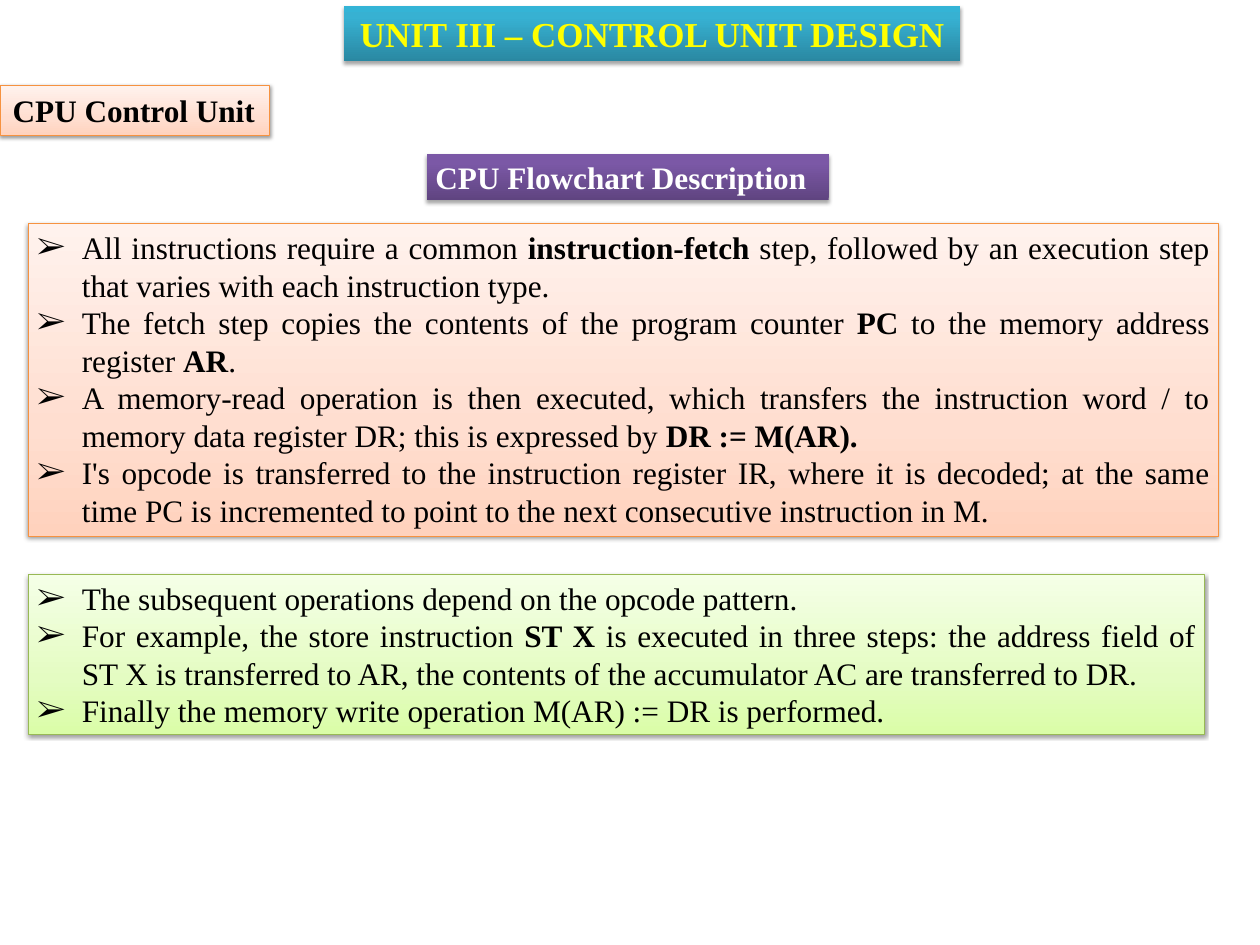
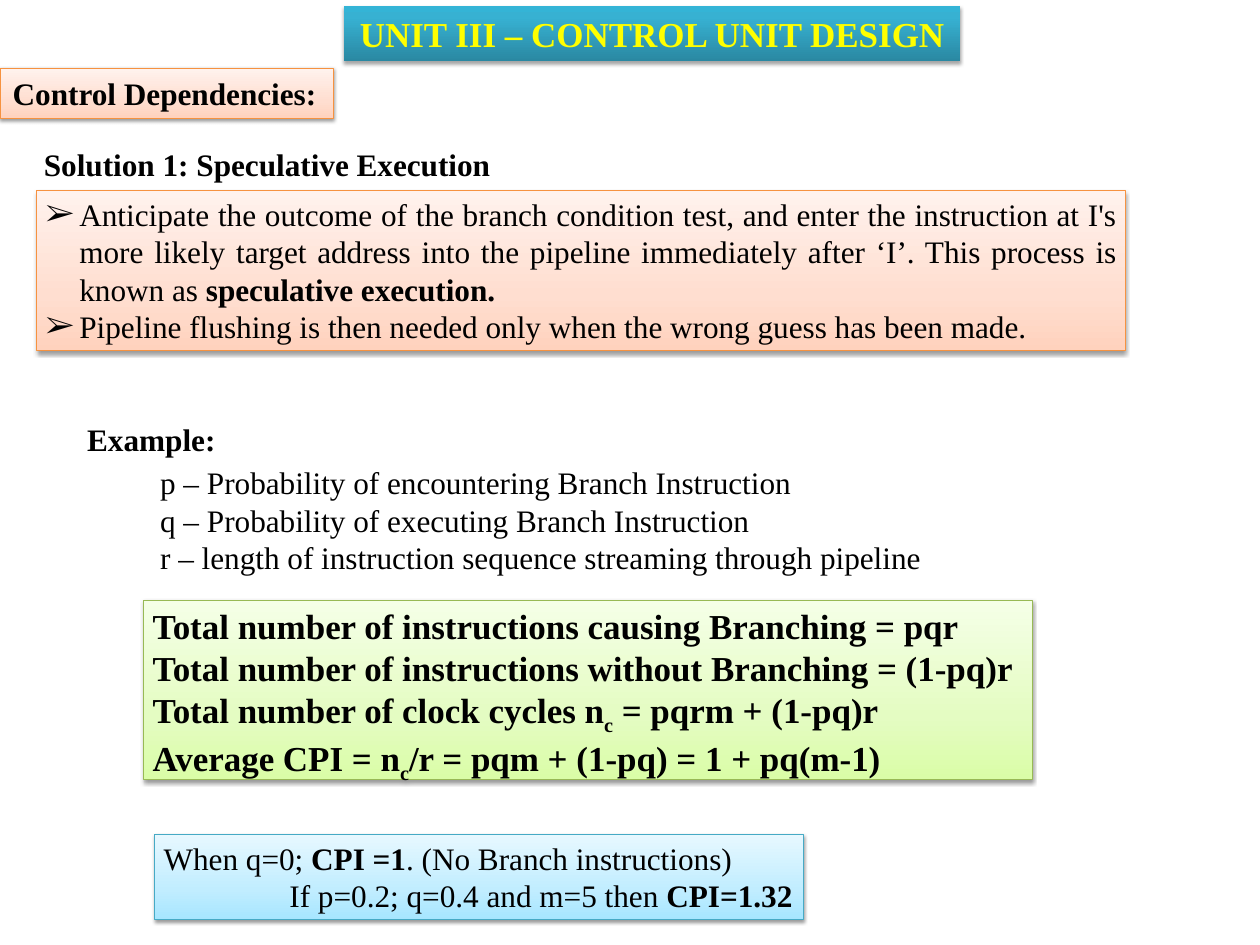
import pptx
import pptx.dml.color
import pptx.enum.shapes
import pptx.enum.text
import pptx.oxml
import pptx.oxml.ns
import pptx.util
from lxml import etree

Cm = pptx.util.Cm
Pt = pptx.util.Pt
qn = pptx.oxml.ns.qn
ALIGN = pptx.enum.text.PP_ALIGN

FACE = "Times New Roman"
COLORS = {"ink": "000000", "white": "FFFFFF", "yellow": "FFFF00",
          "peach": "F69240", "green": "98B955", "blue": "46AAC5"}
SKINS = {
    "peach": {0: "FFD2BD", 35: "FFDED0", 100: "FFF2ED"},
    "green": {0: "DAFDA7", 35: "E4FCC2", 100: "F5FFE7"},
    "blue": {0: "A7E6FF", 35: "C1EDFF", 100: "E7F8FF"},
    "teal": {0: "2A88A2", 80: "37B1D2", 100: "34B4D6"},
    "plum": {0: "5F4480", 80: "7B58A6", 100: "7C57A8"},
}
FRAME = {"word_wrap": True,
         "auto_size": pptx.enum.text.MSO_AUTO_SIZE.NONE,
         "vertical_anchor": pptx.enum.text.MSO_ANCHOR.TOP}
THIN = {"margin_left": Cm(0.25), "margin_right": Cm(0.25),
        "margin_top": Cm(0.13), "margin_bottom": Cm(0.13)}
WIDE = {"margin_left": Cm(0.36), "margin_right": Cm(0.36),
        "margin_top": Cm(0.18), "margin_bottom": Cm(0.18)}


def apply(target, values):
    for key, value in values.items():
        setattr(target, key, value)


def place(shape, box):
    apply(shape, dict(zip(("left", "top", "width", "height"), map(Cm, box))))


def shift(box, dx, dy, width, height):
    return box[0] + dx, box[1] + dy, width, height


def paint(shape, skin):
    props = shape._element.spPr
    shape.fill.gradient()
    shape.fill.gradient_angle = 90
    stops = props.find(".//" + qn("a:gsLst"))
    for stop in list(stops):
        stops.remove(stop)
    for pos, shade in SKINS[skin].items():
        stop = etree.SubElement(stops, qn("a:gs"), pos=str(pos * 1000))
        etree.SubElement(stop, qn("a:srgbClr"), val=shade)
    edged = skin in COLORS
    if edged:
        shape.line.color.rgb = pptx.dml.color.RGBColor.from_string(COLORS[skin])
        shape.line.width = Pt(0.75)
    else:
        shape.line.fill.background()
    shape.shadow.inherit = False
    glow = etree.SubElement(
        props.find(qn("a:effectLst")), qn("a:outerShdw"),
        blurRad=str(Pt(3.1)), dist=str(Pt(1.6 if edged else 1.8)),
        dir="5400000", rotWithShape="0")
    tint = etree.SubElement(glow, qn("a:srgbClr"), val=COLORS["ink"])
    etree.SubElement(tint, qn("a:alpha"), val="38000" if edged else "35000")


def add_run(para, text, bold, size, color, sub):
    run = para.add_run()
    run.text = text
    apply(run.font, {"name": FACE, "size": Pt(size), "bold": bold})
    run.font.color.rgb = pptx.dml.color.RGBColor.from_string(COLORS[color])
    if sub:
        run.font._element.set("baseline", "-25000")


def write(shape, lines, size=25, color="ink", align=ALIGN.JUSTIFY,
          pads=THIN, hang=0, last=0):
    frame = shape.text_frame
    apply(frame, {**FRAME, **pads})
    for num, line in enumerate(lines):
        para = frame.paragraphs[0] if num == 0 else frame.add_paragraph()
        apply(para, {"alignment": align, "space_before": Pt(0)})
        props = para._p.get_or_add_pPr()
        left = last if num == len(lines) - 1 and last else hang
        props.set("marL", str(Cm(left)))
        props.set("indent", str(-Cm(hang)))
        if hang:
            etree.SubElement(props, qn("a:buFont"), typeface=FACE)
            etree.SubElement(props, qn("a:buChar"), char="➢")
        for odd, part in enumerate(line.split("*")):
            for sub, bit in enumerate(part.split("~")):
                if bit:
                    add_run(para, bit, odd % 2 == 1, size, color, sub % 2 == 1)


def panel(slide, box, skin, lines, **style):
    kind = pptx.enum.shapes.MSO_SHAPE.RECTANGLE
    shape = slide.shapes.add_shape(kind, *map(Cm, box))
    paint(shape, skin)
    write(shape, lines, **style)


def note(slide, box, lines):
    write(slide.shapes.add_textbox(*map(Cm, box)), lines)


def bullets(holder, box, skin, lines, hang):
    place(holder, box)
    paint(holder, skin)
    write(holder, lines, hang=hang)


def header(slide, topic, top, width):
    title = slide.shapes.title
    place(title, (9.7, 0.18, 17.4, 1.55))
    paint(title, "teal")
    write(title, ["*UNIT III – CONTROL UNIT DESIGN*"], size=28,
          color="yellow", align=ALIGN.CENTER, pads=WIDE)
    panel(slide, (0, top, width, 1.42), "peach", [f"*{topic}*"],
          align=ALIGN.LEFT, pads=WIDE)


def flow(slide, box):
    panel(slide, shift(box, 11.25, 0, 11.35, 1.32), "plum",
          ["*CPU Flowchart Description*"], color="white", align=ALIGN.LEFT)
    first, second = list(slide.placeholders)[1:]
    bullets(first, shift(box, 0, 1.98, 33.6, 8.81), "peach", [
        "All instructions require a common *instruction-fetch* step, followed by "
        "an execution step that varies with each instruction type.",
        "The fetch step copies the contents of the program counter *PC* to the "
        "memory address register *AR*.",
        "A memory-read operation is then executed, which transfers the instruction "
        "word / to memory data register DR; this is expressed by *DR := M(AR).*",
        "I's opcode is transferred to the instruction register IR, where it is "
        "decoded; at the same time PC is incremented to point to the next "
        "consecutive instruction in M.",
    ], 1.27)
    bullets(second, shift(box, 0, 11.87, 33.2, 4.52), "green", [
        "The subsequent operations depend on the opcode pattern.",
        "For example, the store instruction *ST X* is executed in three steps: the "
        "address field of ST X is transferred to AR, the contents of the "
        "accumulator AC are transferred to DR.",
        "Finally the memory write operation M(AR) := DR is performed.",
    ], 1.27)


def answer(slide, box):
    note(slide, shift(box, 0, 0, 13.26, 1.32),
         ["*Solution 1: Speculative Execution*"])
    bullets(slide.placeholders[1], shift(box, 0.05, 1.42, 30.73, 4.52), "peach", [
        "Anticipate the outcome of the branch condition test, and enter the "
        "instruction at I's more likely target address into the pipeline "
        "immediately after ‘I’. This process is known as *speculative execution.*",
        "Pipeline flushing is then needed only when the wrong guess has been made.",
    ], 0.95)


def sample(slide, box):
    note(slide, shift(box, 0, 0, 4.17, 1.32), ["*Example:*"])
    note(slide, shift(box, 2.06, 1.22, 22.66, 3.45), [
        "p – Probability of encountering Branch Instruction",
        "q – Probability of executing Branch Instruction",
        "r – length of instruction sequence streaming through pipeline",
    ])
    panel(slide, shift(box, 1.85, 5.21, 25.07, 5.05), "green", [
        "*Total number of instructions causing Branching = pqr*",
        "*Total number of instructions without Branching = (1-pq)r*",
        "*Total number of clock cycles n~c~ = pqrm + (1-pq)r*",
        "*Average CPI = n~c~/r = pqm + (1-pq) = 1 + pq(m-1)*",
    ], size=28)
    panel(slide, shift(box, 2.16, 11.82, 18.31, 2.39), "blue", [
        "When q=0; *CPI =1*. (No Branch instructions)",
        "If p=0.2; q=0.4 and m=5 then *CPI=1.32*",
    ], last=3.55)


def main():
    deck = pptx.Presentation()
    apply(deck, {"slide_width": Cm(35.56), "slide_height": Cm(26.67)})
    slide = deck.slides.add_slide(deck.slide_layouts[3])
    header(slide, "CPU Control Unit", 2.41, 7.62)
    flow(slide, (0.79, 4.34))
    slide = deck.slides.add_slide(deck.slide_layouts[1])
    header(slide, "Control Dependencies:", 1.93, 9.4)
    answer(slide, (0.99, 3.96))
    sample(slide, (2.21, 11.73))
    deck.save("out.pptx")


if __name__ == "__main__":
    main()
